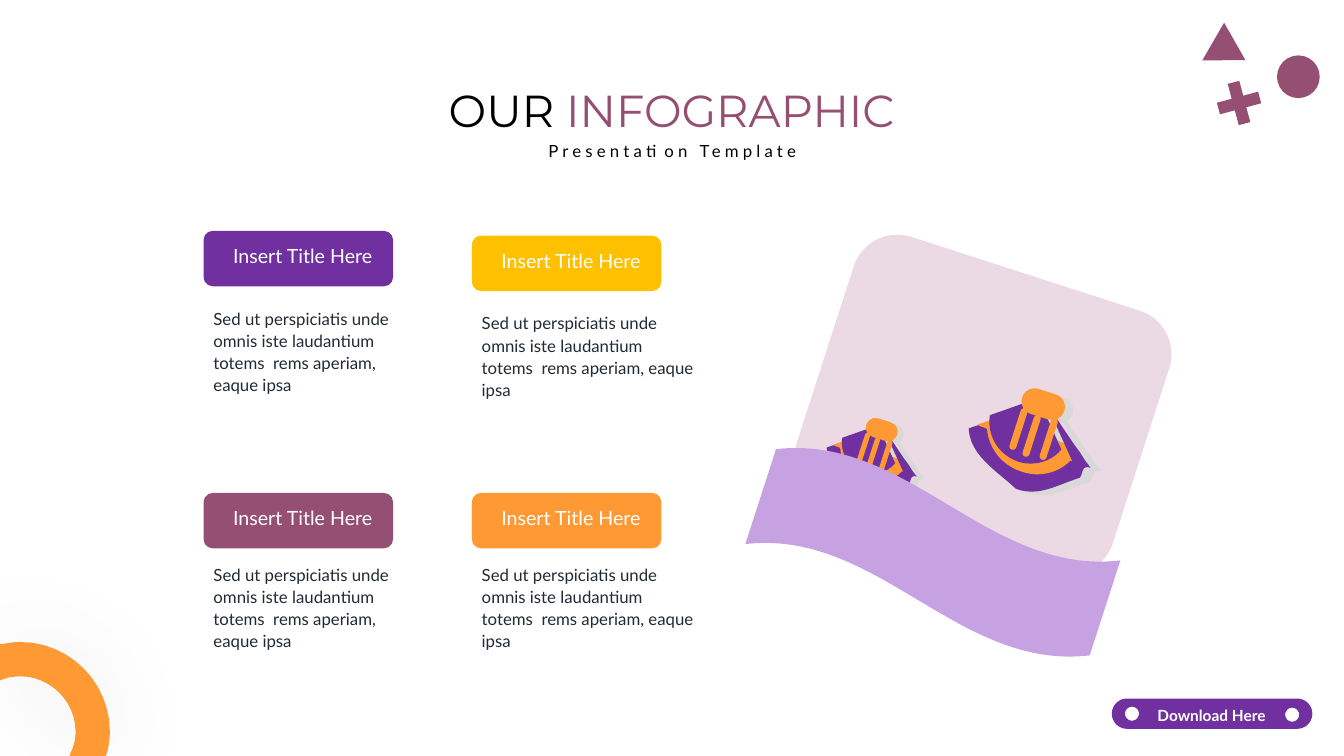
from math import cos, pi, radians, sin

from lxml.etree import SubElement
from pptx import Presentation
from pptx.dml.color import RGBColor
from pptx.enum.shapes import MSO_SHAPE as Preset
from pptx.enum.text import MSO_AUTO_SIZE as AutoSize, PP_ALIGN as Align
from pptx.oxml.ns import qn
from pptx.util import Pt

PURPLE = RGBColor(0x70, 0x30, 0xA0)
PLUM = RGBColor(0x95, 0x4F, 0x72)
ORANGE = RGBColor(0xFF, 0x99, 0x33)
YELLOW = RGBColor(0xFF, 0xC0, 0x00)
LILAC = RGBColor(0xC7, 0xA2, 0xE3)
BLUSH = RGBColor(0xEB, 0xDA, 0xE3)
GREY = RGBColor(0xD9, 0xD9, 0xD9)
INK = RGBColor(0x22, 0x2A, 0x35)
BLACK = RGBColor(0, 0, 0)
WHITE = RGBColor(0xFF, 0xFF, 0xFF)

TILT = 17.9
CURVE_STEPS = 12
BODY_TEXT = ("Sed ut perspiciatis unde omnis iste laudantium totems  rems "
             "aperiam, eaque ipsa")

HULL = [(33.8, 43.2), (20.9, 31, 0.7, 19.4, 0, 0), (6.5, -2.2), (82.1, 26.6),
        (79.2, 35.3), (61.9, 41, 49.7, 49, 33.8, 43.2)]
RIM = [(36, 36.7), (18, 31, 6.5, 14.4, 6.5, -2.9), (13, -5), (78.5, 22.3),
       (76.3, 28.8), (65.5, 38.2, 50.4, 41.8, 36, 36.7)]
BAND = [(38.2, 31), (21.6, 25.9, 12.2, 10.8, 13, -5), (20.2, -7.9),
        (76.3, 13.7), (73.4, 22.3), (64.8, 31.7, 51.1, 35.3, 38.2, 31)]
BOWL = [(66.2, 15.1), (49.7, -21.6), (15.1, -9.4),
        (13, 5, 20.9, 18.7, 35.3, 23.8), (46.8, 27.4, 59, 23.8, 66.2, 15.1)]
EDGE = [(54.7, -19.4), (74.9, 10.8), (79.2, 16.6), (82.8, 22.3), (87.1, 28.1),
        (79.9, 25.9, 82.1, 33.1, 79.2, 35.3), (76.3, 29.5), (74.2, 23.8),
        (71.3, 17.3)]
CORNER_RING = [(14.4, 458.6), (49.7, 458.6, 78.5, 487.4, 78.5, 522.7),
               (78.5, 527, 77.8, 531.4, 77, 535.7), (75.6, 540), (49.7, 540),
               (50.4, 537.8), (52.6, 533.5, 54, 527.8, 54, 522.7),
               (54, 501.1, 36, 483.1, 14.4, 483.1),
               (11.5, 483.1, 9.4, 483.8, 6.5, 483.8), (0, 486), (0, 460.1),
               (1.4, 460.1), (5.8, 459.4, 10.1, 458.6, 14.4, 458.6)]


def flatten(outline):
    points = [outline[0]]
    for step in outline[1:]:
        if len(step) == 2:
            points.append(step)
            continue
        curve = [points[-1], step[:2], step[2:4], step[4:]]
        for index in range(1, CURVE_STEPS + 1):
            t = index / CURVE_STEPS
            weights = ((1 - t) ** 3, 3 * t * (1 - t) ** 2, 3 * t * t * (1 - t), t ** 3)
            points.append(tuple(sum(w * p[axis] for w, p in zip(weights, curve))
                                for axis in (0, 1)))
    return points


def arc(x, y, radius, start, sweep):
    angles = [start + sweep * index / 24 for index in range(25)]
    return [(x + radius * cos(a), y + radius * sin(a)) for a in angles]


def rotate(x, y, degrees):
    angle = radians(degrees)
    return x * cos(angle) - y * sin(angle), x * sin(angle) + y * cos(angle)


def paint(shape, color):
    shape.shadow.inherit = False
    shape.fill.solid()
    shape.fill.fore_color.rgb = color
    shape.line.fill.background()
    return shape


def add_preset(shapes, preset, box, color, rotation=0, adjustment=None):
    shape = shapes.add_shape(preset, *map(Pt, box))
    shape.rotation = rotation
    if adjustment is not None:
        shape.adjustments[0] = adjustment
    return paint(shape, color)


def add_outline(shapes, contours, color, rotation=0):
    contours = [[tuple(map(Pt, rotate(x, y, -rotation))) for x, y in contour]
                for contour in contours]
    builder = shapes.build_freeform(*contours[0][0])
    for index, contour in enumerate(contours):
        if index:
            builder.move_to(*contour[0])
        builder.add_line_segments(contour[1:], close=True)
    shape = builder.convert_to_shape()
    if rotation:
        x, y = rotate(shape.left + shape.width / 2, shape.top + shape.height / 2, rotation)
        shape.left, shape.top = int(x - shape.width / 2), int(y - shape.height / 2)
        shape.rotation = rotation
    return paint(shape, color)


def add_text(shapes, box, runs, size, font="Lato", align=Align.LEFT, wrap=True,
             line_spacing=None, bold=None, tracking=None):
    frame = shapes.add_textbox(*map(Pt, box)).text_frame
    for name, value in {"word_wrap": wrap, "auto_size": AutoSize.SHAPE_TO_FIT_TEXT}.items():
        setattr(frame, name, value)
    paragraph = frame.paragraphs[0]
    for name, value in {"alignment": align, "line_spacing": line_spacing}.items():
        setattr(paragraph, name, value)
    for text, color in runs:
        run = paragraph.add_run()
        run.text = text
        for name, value in {"name": font, "size": Pt(size), "bold": bold}.items():
            setattr(run.font, name, value)
        run.font.color.rgb = color
        if tracking:
            run._r.get_or_add_rPr().set("spc", str(tracking * 100))


def add_soft_shadow(shape, blur, alpha):
    effects = shape._element.spPr.find(qn("a:effectLst"))
    shadow = SubElement(effects, qn("a:outerShdw"), blurRad=str(Pt(blur)),
                        algn="ctr", rotWithShape="0")
    color = SubElement(shadow, qn("a:srgbClr"), val="000000")
    SubElement(color, qn("a:alpha"), val=str(alpha * 1000))


def add_cup(shapes, left, top, scale):
    def piece(outline, color, shift=(0, 0)):
        points = [(left + (x + shift[0]) * scale, top + (y + shift[1]) * scale)
                  for x, y in flatten(outline)]
        add_outline(shapes, [points], color, TILT)

    def pill(x, y, width, height, color):
        box = (left + (x - width / 2) * scale, top + (y - height / 2) * scale,
               width * scale, height * scale)
        add_preset(shapes, Preset.ROUNDED_RECTANGLE, box, color, TILT, 0.5)

    pill(59.1, -15.1, 31.7, 18.7, GREY)
    for outline in (HULL, BAND, BOWL, EDGE):
        piece(outline, GREY, (7.5, 2.6))
    for outline, color in ((RIM, ORANGE), (HULL, PURPLE), (BAND, ORANGE),
                           (BOWL, PURPLE), (EDGE, PURPLE)):
        piece(outline, color)
    pill(53.3, -17.3, 31.7, 18.7, ORANGE)
    for x, y in ((35.6, 0.4), (45, 5.4), (57.2, 7.6)):
        pill(x, y, 5, 31, ORANGE)


def add_card(shapes, left, top, color, body_top, body_width):
    add_preset(shapes, Preset.ROUNDED_RECTANGLE, (left, top, 135.4, 39.6), color)
    add_text(shapes, (left + 14, top + 6, 113.8, 24.5),
             [("Insert Title Here", WHITE)], 14, wrap=False)
    add_text(shapes, (left, body_top, body_width, 69.8), [(BODY_TEXT, INK)], 12,
             line_spacing=1.1)


def add_button(shapes):
    left, right, middle = 805, 926.6, 509.8
    border = arc(left, middle, 10.8, pi / 2, pi) + arc(right, middle, 10.8, -pi / 2, pi)
    holes = [arc(x, y, 5, 0, -2 * pi) for x, y in ((923, 510.5), (808.6, middle))]
    add_outline(shapes, [border] + holes, PURPLE)
    add_text(shapes, (813.6, 498.2, 103.7, 21.6), [("Download Here", WHITE)], 11,
             align=Align.CENTER, line_spacing=1.2, bold=True)


def main():
    presentation = Presentation()
    presentation.slide_width, presentation.slide_height = Pt(960), Pt(540)
    slide = presentation.slides.add_slide(presentation.slide_layouts[6])
    shapes = slide.shapes

    scene = shapes.add_group_shape().shapes
    add_preset(scene, Preset.ROUNDED_RECTANGLE, (583.9, 190.8, 236.9, 196.6), BLUSH, TILT)
    add_cup(scene, 691.9, 306, 1)
    add_cup(scene, 590.4, 319.7, 0.74)
    add_preset(scene, Preset.WAVE, (537.1, 347, 258.5, 95), LILAC, TILT)

    for card in ((145.4, 164.9, PURPLE, 215.3, 153.4),
                 (145.4, 352.1, PLUM, 398.2, 157),
                 (337, 168.3, YELLOW, 218.7, 167),
                 (337, 352.1, ORANGE, 398.2, 167)):
        add_card(shapes, *card)

    corner = shapes.add_group_shape().shapes
    add_preset(corner, Preset.OVAL, (912.2, 39.6, 30.5, 30.5), PLUM)
    add_preset(corner, Preset.ISOSCELES_TRIANGLE, (862.6, 23, 31, 26.6), PLUM, 120)
    add_preset(corner, Preset.CROSS, (869.8, 58.3, 30.5, 30.5), PLUM, 255, 0.36)

    add_text(shapes, (272.2, 55.4, 415.4, 46.1), [("OUR ", BLACK), ("INFOGRAPHIC", PLUM)],
             32, "Montserrat", Align.CENTER)
    add_text(shapes, (362.2, 94.3, 236.2, 23), [("Presentation Template", BLACK)], 12,
             align=Align.CENTER, line_spacing=1.2, tracking=3)

    ring = add_outline(shapes, [flatten(CORNER_RING)], ORANGE)
    add_soft_shadow(ring, 65, 7)
    add_button(shapes.add_group_shape().shapes)
    presentation.save("out.pptx")


if __name__ == "__main__":
    main()
